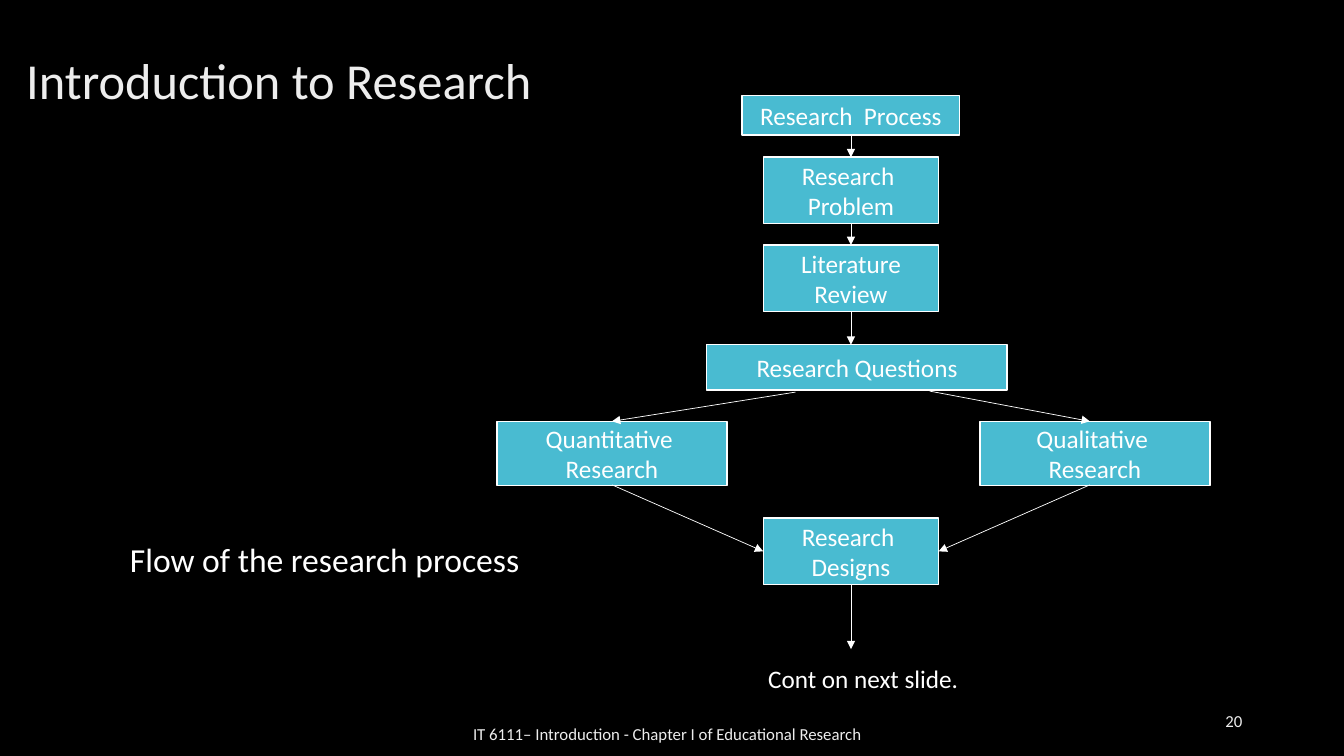
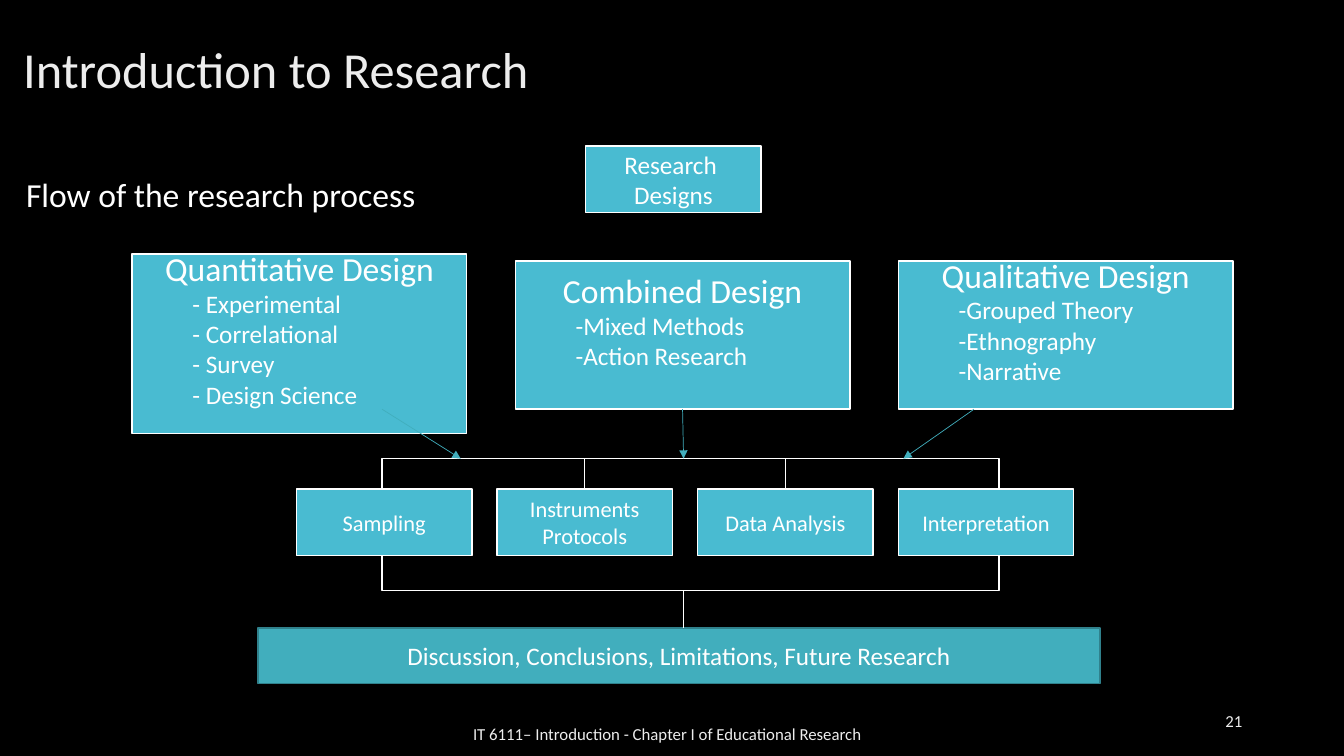
from lxml import etree
from pptx import Presentation
from pptx.dml.color import RGBColor
from pptx.enum.shapes import MSO_CONNECTOR, MSO_SHAPE
from pptx.enum.text import MSO_ANCHOR, PP_ALIGN
from pptx.oxml.ns import qn
from pptx.util import Inches, Pt

RECTANGLE = MSO_SHAPE.RECTANGLE
STRAIGHT = MSO_CONNECTOR.STRAIGHT
LEFT, CENTER, RIGHT = PP_ALIGN.LEFT, PP_ALIGN.CENTER, PP_ALIGN.RIGHT
TOP, MIDDLE = MSO_ANCHOR.TOP, MSO_ANCHOR.MIDDLE

FONT = "Calibri"
BLACK, WHITE, SOFT_WHITE = "000000", "FFFFFF", "EDEDED"
BOX_BLUE, TEAL, DARK_TEAL = "49BBD1", "41AEBD", "30818C"

TITLE = "Introduction to Research"
SUBTITLE = "Flow of the research process"
FOOTER = "IT 6111– Introduction - Chapter I of Educational Research"
STEP_SIZE = (1.74, 0.66)


def rgb(hex_code):
    return RGBColor.from_string(hex_code)


def format_paragraph(paragraph, text, size=18, color=WHITE, align=CENTER,
                     indent=0, line_spacing=None):
    paragraph.alignment = align
    if line_spacing:
        paragraph.line_spacing = line_spacing
    if indent:
        paragraph.level = 1
        properties = paragraph._p.get_or_add_pPr()
        properties.set("marL", str(Inches(indent)))
        properties.set("indent", "0")
    run = paragraph.add_run()
    run.text = text
    run.font.name = FONT
    run.font.size = Pt(size)
    run.font.color.rgb = rgb(color)


def write(frame, text, anchor=MIDDLE, **text_format):
    """Fill a frame with one paragraph for each line of text."""
    frame.word_wrap = True
    frame.vertical_anchor = anchor
    for number, line in enumerate(text.split("\n")):
        paragraph = frame.add_paragraph() if number else frame.paragraphs[0]
        format_paragraph(paragraph, line, **text_format)


def add_label(slide, text, left, top, width, height, **text_format):
    label = slide.shapes.add_textbox(
        Inches(left), Inches(top), Inches(width), Inches(height))
    write(label.text_frame, text, **text_format)


def add_box(slide, text, left, top, width, height, fill=BOX_BLUE, line=WHITE,
            **text_format):
    box = slide.shapes.add_shape(
        RECTANGLE, Inches(left), Inches(top), Inches(width), Inches(height))
    box.shadow.inherit = False
    if fill:
        box.fill.solid()
        box.fill.fore_color.rgb = rgb(fill)
    else:
        box.fill.background()
    box.line.color.rgb = rgb(line)
    box.line.width = Pt(1)
    if text:
        write(box.text_frame, text, **text_format)
    return box


def add_line(slide, start, end, color=WHITE, arrow=False):
    connector = slide.shapes.add_connector(
        STRAIGHT, *(Inches(length) for length in (*start, *end)))
    connector.line.color.rgb = rgb(color)
    connector.line.width = Pt(0.5)
    if arrow:
        outline = connector.line._get_or_add_ln()
        etree.SubElement(outline, qn("a:tailEnd"), type="triangle")
    etree.SubElement(connector._element.spPr, qn("a:effectLst"))


def add_design(slide, heading, methods, left, top, height):
    """Box with a large heading, an indented list and room below it."""
    box = add_box(slide, heading, left, top, 3.32, height, size=24)
    box.text_frame.margin_bottom = Inches(0.35)
    for method in methods:
        format_paragraph(box.text_frame.add_paragraph(), method,
                         align=LEFT, indent=0.5)


def add_base_slide(prs, number, title_at, subtitle_at):
    slide = prs.slides.add_slide(prs.slide_layouts.get_by_name("Title Only"))
    title = slide.shapes.title
    title.left, title.top = (Inches(length) for length in title_at)
    title.width, title.height = Inches(7.42), Inches(1.33)
    write(title.text_frame, TITLE, size=36, color=SOFT_WHITE, align=LEFT,
          line_spacing=0.9)
    add_label(slide, FOOTER, 4.37, 7.08, 4.5, 0.4, size=12, color=SOFT_WHITE)
    add_label(slide, str(number), 9.42, 6.95, 3, 0.4, size=12,
              color=SOFT_WHITE, align=RIGHT)
    add_label(slide, SUBTITLE, *subtitle_at, 4.3, 0.5, size=24, align=LEFT,
              anchor=TOP)
    return slide


def build_process_slide(prs):
    slide = add_base_slide(prs, 20, (0.16, 0.16), (1.19, 5.3))
    for text, left, top, width, height in (
        ("Research  Process", 7.36, 0.95, 2.16, 0.39),
        ("Research \nProblem", 7.57, 1.56, *STEP_SIZE),
        ("Literature\nReview", 7.57, 2.43, *STEP_SIZE),
        ("Research Questions", 7.01, 3.42, 2.98, 0.45),
        ("Quantitative \nResearch", 4.93, 4.18, 2.28, 0.64),
        ("Qualitative \nResearch", 9.72, 4.18, 2.28, 0.64),
        ("Research \nDesigns", 7.57, 5.14, *STEP_SIZE),
    ):
        add_box(slide, text, left, top, width, height)

    axis = 8.44
    for top, bottom in ((1.34, 1.56), (2.22, 2.43), (3.1, 3.42), (5.8, 6.44)):
        add_line(slide, (axis, top), (axis, bottom), arrow=True)
    for start, end in (
        ((7.89, 3.89), (6.07, 4.18)),
        ((9.22, 3.88), (10.81, 4.18)),
        ((6.07, 4.81), (7.57, 5.47)),
        ((10.81, 4.81), (9.31, 5.47)),
    ):
        add_line(slide, start, end, arrow=True)
    add_label(slide, "Cont on next slide.", 7.52, 6.53, 2.3, 0.4, align=LEFT,
              anchor=TOP)


def build_designs_slide(prs):
    slide = add_base_slide(prs, 21, (0.13, 0.05), (0.16, 1.68))
    add_box(slide, "Research \nDesigns", 5.81, 1.45, *STEP_SIZE)

    designs = (
        ("Quantitative Design", 2.52, 1.78,
         ("- Experimental", "- Correlational", "- Survey", "- Design Science")),
        ("Combined Design", 2.59, 1.47, ("-Mixed Methods", "-Action Research")),
        ("Qualitative Design", 2.59, 1.47,
         ("-Grouped Theory", "-Ethnography", "-Narrative")),
    )
    for column, (heading, top, height, methods) in enumerate(designs):
        add_design(slide, heading, methods, 1.31 + 3.8 * column, top, height)

    bracket_top, stage_top = 4.55, 4.85
    add_box(slide, "", 3.79, bracket_top, 6.12, 1.31, fill=None)
    stages = ("Sampling", "Instruments\nProtocols", "Data Analysis",
              "Interpretation")
    for column, stage in enumerate(stages):
        left = 2.94 + 1.99 * column
        add_box(slide, stage, left, stage_top, *STEP_SIZE, size=16)
        if 0 < column < len(stages) - 1:
            center = left + STEP_SIZE[0] / 2
            add_line(slide, (center, bracket_top), (center, stage_top))

    add_box(slide, "Discussion, Conclusions, Limitations, Future Research",
            2.56, 6.23, 8.35, 0.55, fill=TEAL, line=DARK_TEAL)
    add_line(slide, (6.78, 5.86), (6.78, 6.23))
    for start, end in ((3.79, 4.57), (6.77, 6.78), (9.66, 8.96)):
        add_line(slide, (start, 4.06), (end, bracket_top), color=TEAL,
                 arrow=True)


def main():
    prs = Presentation()
    prs.slide_width, prs.slide_height = Inches(13.33), Inches(7.5)
    backdrop = prs.slide_master.background.fill
    backdrop.solid()
    backdrop.fore_color.rgb = rgb(BLACK)
    build_process_slide(prs)
    build_designs_slide(prs)
    prs.save("out.pptx")


if __name__ == "__main__":
    main()
